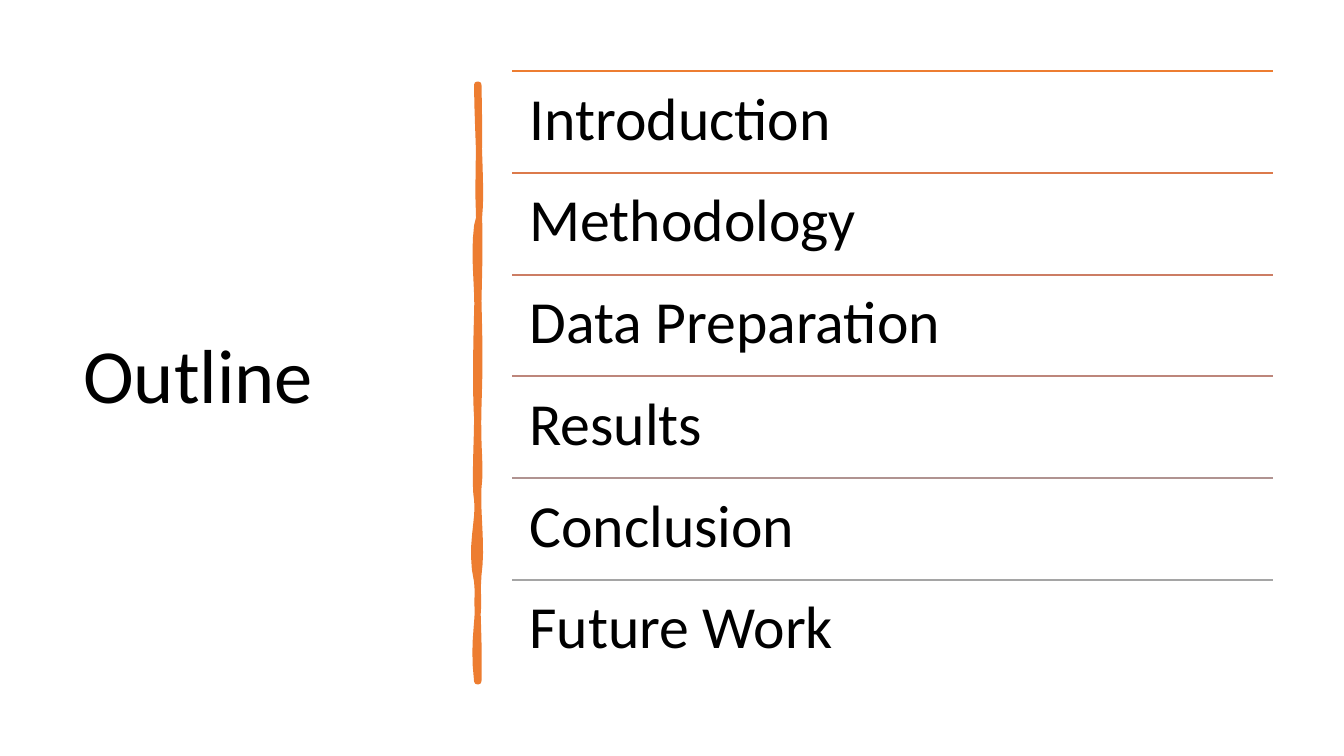
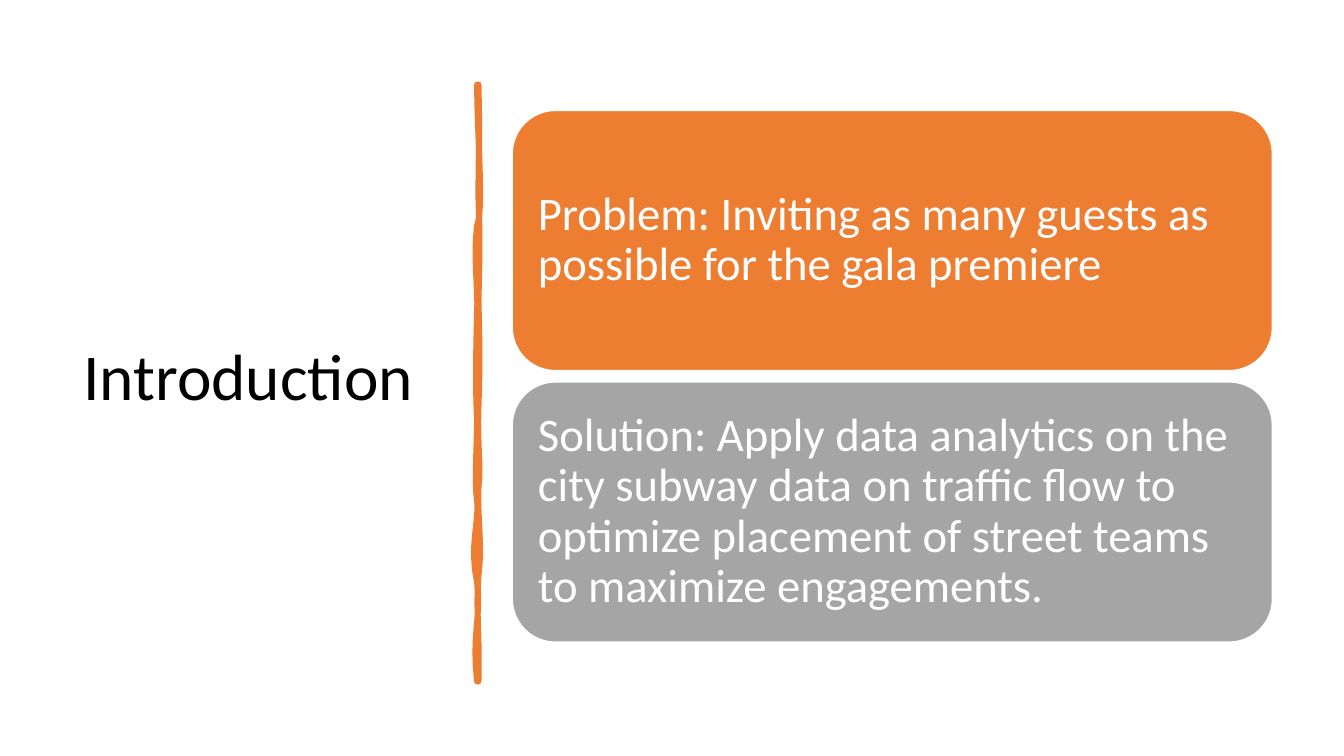
from typing import NamedTuple

from lxml import etree
from pptx import Presentation
from pptx.dml.color import RGBColor
from pptx.enum.shapes import MSO_CONNECTOR, MSO_SHAPE
from pptx.enum.text import MSO_ANCHOR, MSO_AUTO_SIZE, PP_ALIGN
from pptx.oxml.ns import qn
from pptx.util import Inches, Pt

# Shared look
FONT = "Calibri"
BLACK = RGBColor(0x00, 0x00, 0x00)
WHITE = RGBColor(0xFF, 0xFF, 0xFF)
ORANGE = RGBColor(0xED, 0x7D, 0x31)
GRAY = RGBColor(0xA5, 0xA5, 0xA5)
LEFT = PP_ALIGN.LEFT
TOP = MSO_ANCHOR.TOP
MIDDLE = MSO_ANCHOR.MIDDLE
NO_FIT = MSO_AUTO_SIZE.NONE
LINE = MSO_CONNECTOR.STRAIGHT
BOX = MSO_SHAPE.ROUNDED_RECTANGLE
TITLE_ONLY = 5
PAGE_W = 10
PAGE_H = PAGE_W * 9 / 16

# Right-hand column
COL_X, COL_W = 3.81, 5.66

# Brush stroke: start point, then curves as two controls and an end
START = (3.56, 0.63)
CURVES = [
    ((3.57, 1.03), (3.56, 1.19), (3.56, 1.46)),
    ((3.57, 1.76), (3.57, 1.84), (3.56, 2.24)),
    ((3.57, 2.64), (3.57, 2.71), (3.56, 3.03)),
    ((3.55, 3.34), (3.58, 3.46), (3.56, 3.63)),
    ((3.55, 3.84), (3.59, 4.06), (3.56, 4.28)),
    ((3.54, 4.54), (3.57, 4.74), (3.56, 5.07)),
    ((3.56, 5.07), (3.55, 5.07), (3.55, 5.07)),
    ((3.51, 4.73), (3.58, 4.61), (3.55, 4.33)),
    ((3.49, 4.07), (3.57, 3.86), (3.55, 3.72)),
    ((3.53, 3.62), (3.55, 3.28), (3.55, 3.11)),
    ((3.54, 2.94), (3.54, 2.69), (3.55, 2.33)),
    ((3.56, 2.15), (3.52, 1.92), (3.55, 1.68)),
    ((3.60, 1.59), (3.55, 0.98), (3.55, 0.63)),
]
STEPS = 8


class Topic(NamedTuple):
    text: str
    color: RGBColor


class Card(NamedTuple):
    text: str
    fill: RGBColor


TOPICS = [
    Topic("Introduction", ORANGE),
    Topic("Methodology", RGBColor(0xDC, 0x7A, 0x4B)),
    Topic("Data Preparation", RGBColor(0xCC, 0x7D, 0x64)),
    Topic("Results", RGBColor(0xBD, 0x86, 0x7B)),
    Topic("Conclusion", RGBColor(0xB0, 0x93, 0x91)),
    Topic("Future Work", GRAY),
]
ROW_Y, ROW_END = 0.53, 5.07
ROW_H = (ROW_END - ROW_Y) / len(TOPICS)

CARDS = [
    Card("Problem: Inviting as many guests as possible for the gala premiere", ORANGE),
    Card(
        "Solution: Apply data analytics on the city subway data on traffic flow "
        "to optimize placement of street teams to maximize engagements.",
        GRAY,
    ),
]
CARD_Y, CARD_H, CARD_STEP = 0.82, 1.94, 2.02


def write(shape, text: str, size: int, color: RGBColor, inset: float, anchor) -> None:
    """Fill a shape with one left-aligned paragraph."""
    frame = shape.text_frame
    frame.word_wrap = True
    frame.auto_size = NO_FIT
    frame.vertical_anchor = anchor
    frame.margin_left = frame.margin_right = Inches(inset)
    frame.margin_top = frame.margin_bottom = Inches(inset)
    para = frame.paragraphs[0]
    para.alignment = LEFT
    para.line_spacing = 0.9
    run = para.add_run()
    run.text = text
    run.font.name = FONT
    run.font.size = Pt(size)
    run.font.color.rgb = color


def add_brush(slide) -> None:
    """Draw the wavy upright stroke beside the title."""
    points = []
    last = START
    for one, two, end in CURVES:
        for step in range(1, STEPS + 1):
            t = step / STEPS
            u = 1 - t
            points.append(tuple(
                Inches(u**3 * a + 3 * u * u * t * b + 3 * u * t * t * c + t**3 * d)
                for a, b, c, d in zip(last, one, two, end)
            ))
        last = end
    path = slide.shapes.build_freeform(Inches(START[0]), Inches(START[1]))
    path.add_line_segments(points, close=True)
    brush = path.convert_to_shape()
    brush.shadow.inherit = False
    brush.fill.solid()
    brush.fill.fore_color.rgb = ORANGE
    brush.line.color.rgb = ORANGE
    brush.line.width = Pt(3.25)
    etree.SubElement(brush._element.spPr.find(qn("a:ln")), qn("a:round"))


def add_page(deck, title: str, size: int):
    """Add a slide with its title and brush stroke."""
    slide = deck.slides.add_slide(deck.slide_layouts[TITLE_ONLY])
    head = slide.shapes.title
    head.left, head.top = Inches(0.52), Inches(0.53)
    head.width, head.height = Inches(2.8), Inches(4.58)
    write(head, title, size, BLACK, 0.1, MIDDLE)
    add_brush(slide)
    return slide


def add_topic(slide, topic: Topic, y: float) -> None:
    """Draw a rule with its topic below."""
    rule = slide.shapes.add_connector(
        LINE, Inches(COL_X), Inches(y), Inches(COL_X + COL_W), Inches(y))
    rule.line.color.rgb = topic.color
    rule.line.width = Pt(1)
    etree.SubElement(rule._element.spPr, qn("a:effectLst"))
    label = slide.shapes.add_textbox(
        Inches(COL_X), Inches(y), Inches(COL_W), Inches(ROW_H))
    write(label, topic.text, 32, BLACK, 0.13, TOP)


def add_card(slide, card: Card, y: float) -> None:
    """Draw a rounded card with its text."""
    box = slide.shapes.add_shape(
        BOX, Inches(COL_X), Inches(y), Inches(COL_W), Inches(CARD_H))
    box.shadow.inherit = False
    box.fill.solid()
    box.fill.fore_color.rgb = card.fill
    box.line.color.rgb = WHITE
    box.line.width = Pt(1)
    write(box, card.text, 25, WHITE, 0.1, MIDDLE)


def main() -> None:
    deck = Presentation()
    deck.slide_width, deck.slide_height = Inches(PAGE_W), Inches(PAGE_H)

    # Outline
    slide = add_page(deck, "Outline", 41)
    for i, topic in enumerate(TOPICS):
        add_topic(slide, topic, ROW_Y + i * ROW_H)

    # Introduction
    slide = add_page(deck, "Introduction", 35)
    for i, card in enumerate(CARDS):
        add_card(slide, card, CARD_Y + i * CARD_STEP)

    deck.save("out.pptx")


if __name__ == "__main__":
    main()
